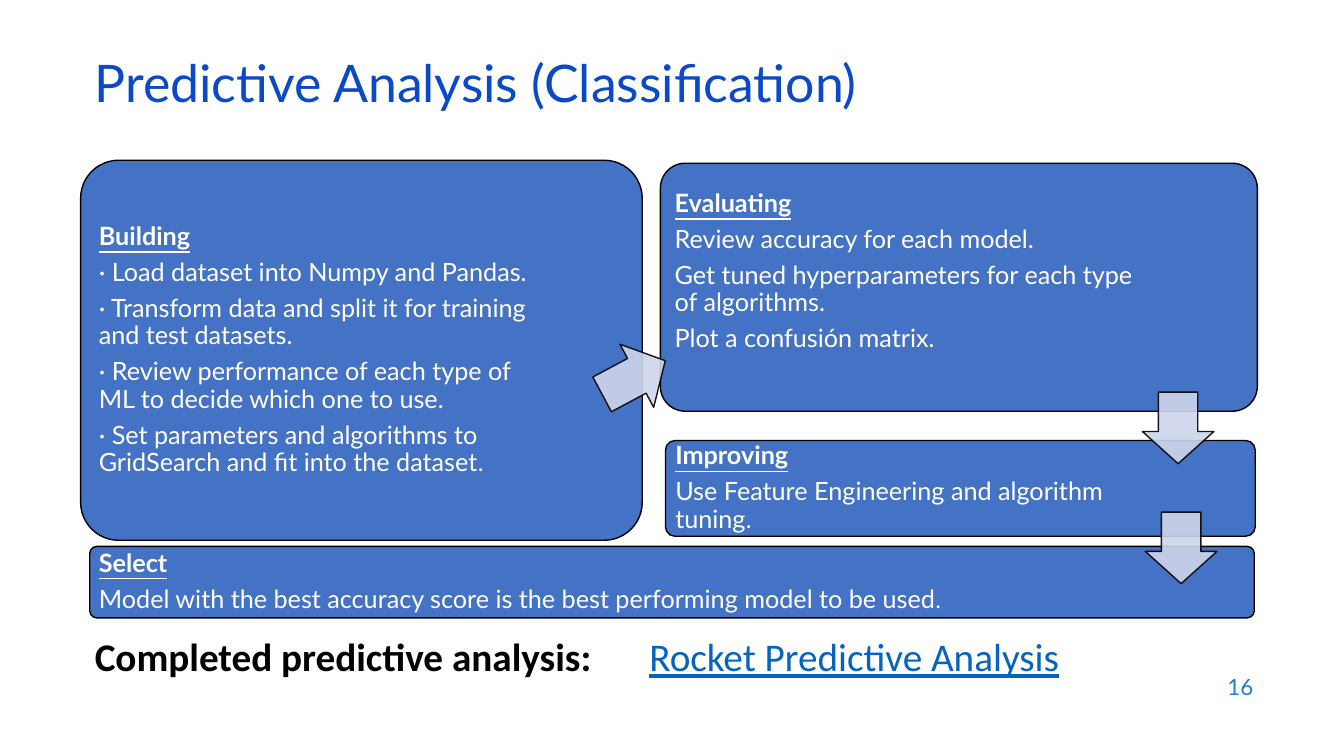
from dataclasses import dataclass

from lxml.etree import SubElement
from pptx import Presentation
from pptx.dml.color import RGBColor
from pptx.enum.shapes import MSO_SHAPE
from pptx.enum.text import MSO_ANCHOR, MSO_AUTO_SIZE, PP_ALIGN
from pptx.oxml.ns import qn
from pptx.util import Inches, Pt


@dataclass(frozen=True)
class Theme:
    heading_font: str = "Lato"
    body_font: str = "Calibri"
    title: str = "0B49CB"
    number: str = "1C7DDB"
    link: str = "0563C1"
    dark: str = "000000"
    light: str = "FFFFFF"
    card: str = "4472C4"
    arrow: str = "CFD5EA"
    title_size: float = 37
    summary_size: float = 28
    card_size: float = 18
    small_size: float = 16


THEME = Theme()
CARD_PADDING = 0.07
ARROW_SIDE = 0.71

# box, space kept free at the right and bottom, heading, lines, closing stop (font, size)
CARDS = [
    ((0.8, 1.59, 5.57, 3.77), 0.72, 0, "Building", [
        "· Load dataset into Numpy and Pandas.",
        "· Transform data and split it for training and test datasets.",
        "· Review performance of each type of ML to decide which one to use.",
        "· Set parameters and algorithms to GridSearch and fit into the dataset",
    ], (THEME.body_font, THEME.card_size)),
    ((6.55, 1.62, 5.92, 2.46), 0.95, 0.3, "Evaluating", [
        "Review accuracy for each model.",
        "Get tuned hyperparameters for each type of algorithms.",
        "Plot a confusión matrix.",
    ], None),
    ((6.6, 4.37, 5.85, 0.95), 0.93, 0, "Improving", [
        "Use Feature Engineering and algorithm tuning",
    ], (THEME.body_font, THEME.card_size)),
    ((0.89, 5.42, 11.55, 0.71), 1.85, 0, "Select", [
        "Model with the best accuracy score is the best performing model to be used",
    ], (THEME.heading_font, THEME.small_size)),
]

# left, top, rotation
ARROWS = [(5.93, 3.39, 241.9), (11.33, 3.89, 0), (11.36, 5.08, 0)]


def add_run(paragraph, text, font, size, color, bold=False, underline=False):
    run = paragraph.add_run()
    run.text = text
    run.font.name = font
    run.font.size = Pt(size)
    run.font.color.rgb = RGBColor.from_string(color)
    run.font.bold = bold
    run.font.underline = underline


def place(shape, box):
    shape.left, shape.top, shape.width, shape.height = map(Inches, box)


def prepare_text(shape, anchor):
    frame = shape.text_frame
    frame.word_wrap = True
    frame.auto_size = MSO_AUTO_SIZE.NONE
    frame.vertical_anchor = anchor
    return frame


def add_preset(slide, preset, box, adjustments, fill):
    shape = slide.shapes.add_shape(preset, *map(Inches, box))
    shape.shadow.inherit = False
    for index, value in enumerate(adjustments):
        shape.adjustments[index] = value
    shape.fill.solid()
    shape.fill.fore_color.rgb = RGBColor.from_string(fill)
    shape.line.color.rgb = RGBColor.from_string(THEME.dark)
    shape.line.width = Pt(1)
    return shape


def fill_title(slide, box):
    title = slide.shapes.title
    place(title, box)
    paragraph = prepare_text(title, MSO_ANCHOR.MIDDLE).paragraphs[0]
    paragraph.alignment = PP_ALIGN.LEFT
    paragraph.line_spacing = 0.7
    add_run(paragraph, "Predictive Analysis (Classification)",
            THEME.heading_font, THEME.title_size, THEME.title)


def fill_summary(slide, box):
    """Fill the body placeholder with one line whose second part starts at a tab stop."""
    body = slide.placeholders[1]
    place(body, box)
    paragraph = prepare_text(body, MSO_ANCHOR.TOP).paragraphs[0]
    paragraph.line_spacing = 0.9
    paragraph.space_before = Pt(0)
    properties = paragraph._p.get_or_add_pPr()
    properties.set("marL", "0")
    properties.set("indent", "0")
    SubElement(properties, qn("a:buNone"))
    tabs = SubElement(properties, qn("a:tabLst"))
    SubElement(tabs, qn("a:tab"), pos=str(Inches(6)), algn="l")
    add_run(paragraph, "Completed predictive analysis: \t",
            THEME.body_font, THEME.summary_size, THEME.dark, bold=True)
    add_run(paragraph, "Rocket Predictive Analysis",
            THEME.body_font, THEME.summary_size, THEME.link, underline=True)


def add_card(slide, box, free_right, free_bottom, heading, lines, stop):
    card = add_preset(slide, MSO_SHAPE.ROUNDED_RECTANGLE, box, [0.1], THEME.card)
    frame = prepare_text(card, MSO_ANCHOR.MIDDLE)
    frame.margin_left = frame.margin_top = Inches(CARD_PADDING)
    frame.margin_right = Inches(CARD_PADDING + free_right)
    frame.margin_bottom = Inches(CARD_PADDING + free_bottom)
    for index, text in enumerate([heading, *lines]):
        is_heading = index == 0
        paragraph = frame.paragraphs[0] if is_heading else frame.add_paragraph()
        paragraph.alignment = PP_ALIGN.LEFT
        paragraph.line_spacing = 0.9
        paragraph.space_after = Pt(6.3)
        add_run(paragraph, text, THEME.heading_font, THEME.card_size, THEME.light,
                bold=is_heading, underline=is_heading)
    if stop:
        add_run(paragraph, ".", *stop, THEME.light)


def add_arrow(slide, left, top, rotation):
    arrow = add_preset(slide, MSO_SHAPE.DOWN_ARROW, (left, top, ARROW_SIDE, ARROW_SIDE),
                       [0.55, 0.45], THEME.arrow)
    arrow.rotation = rotation
    for color in arrow._element.spPr.iter(qn("a:srgbClr")):
        SubElement(color, qn("a:alpha"), val="90000")


def add_slide_number(slide, box):
    number = slide.shapes.add_textbox(*map(Inches, box))
    paragraph = prepare_text(number, MSO_ANCHOR.MIDDLE).paragraphs[0]
    paragraph.alignment = PP_ALIGN.RIGHT
    add_run(paragraph, "16", THEME.heading_font, THEME.small_size, THEME.number)


def main():
    presentation = Presentation()
    presentation.slide_width = Inches(13.33)
    presentation.slide_height = Inches(7.5)
    slide = presentation.slides.add_slide(presentation.slide_layouts[1])
    fill_title(slide, (0.84, 0.59, 11.5, 0.6))
    fill_summary(slide, (0.84, 6.28, 10.36, 0.95))
    add_slide_number(slide, (9.53, 6.59, 3, 0.44))
    for card in CARDS:
        add_card(slide, *card)
    for arrow in ARROWS:
        add_arrow(slide, *arrow)
    presentation.save("out.pptx")


if __name__ == "__main__":
    main()
